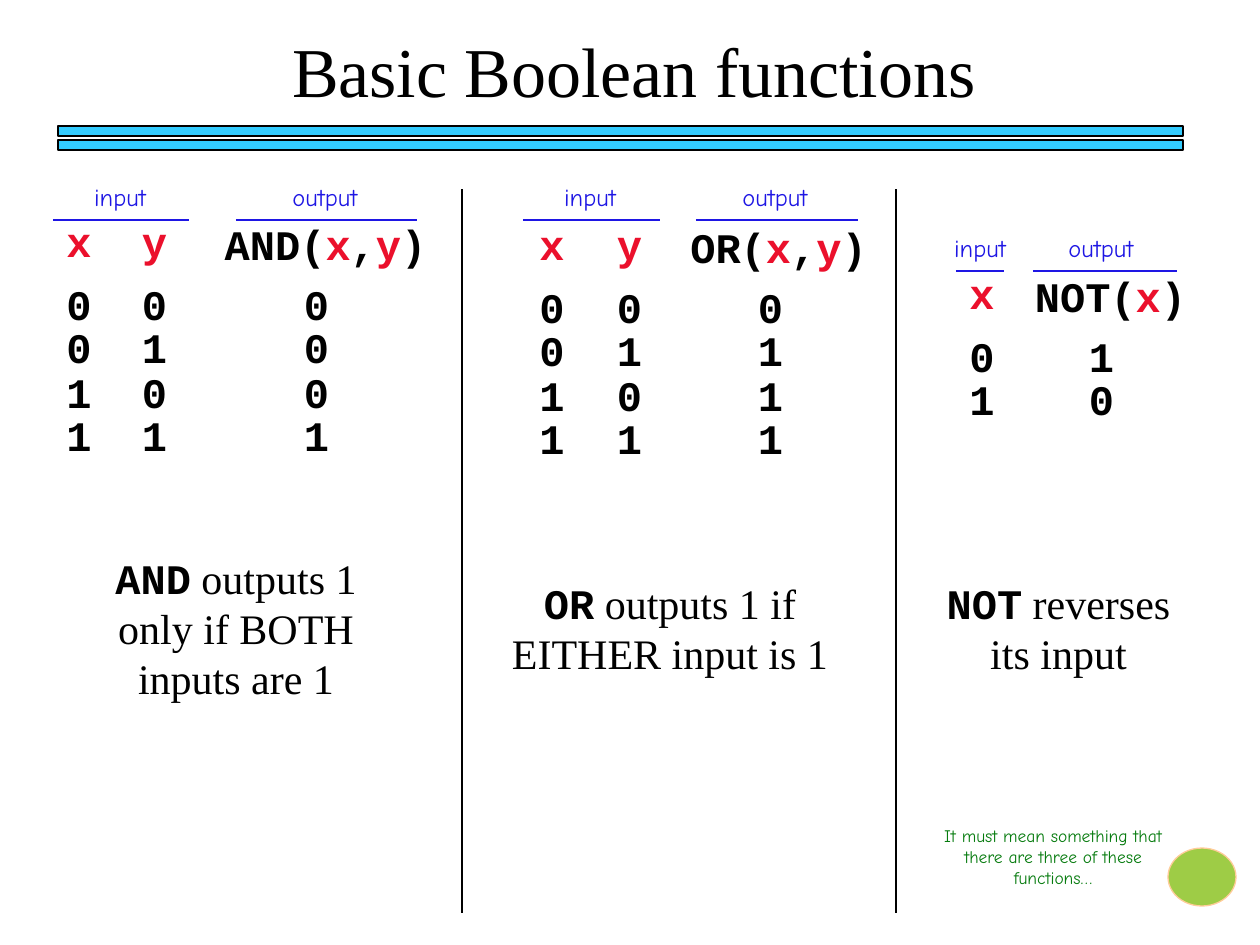
from pptx import Presentation
from pptx.dml.color import RGBColor
from pptx.enum.shapes import MSO_CONNECTOR, MSO_SHAPE
from pptx.enum.text import PP_ALIGN
from pptx.oxml.ns import qn
from pptx.util import Inches, Pt
from lxml import etree

CENTER = PP_ALIGN.CENTER
LINE = MSO_CONNECTOR.STRAIGHT
RECT, OVAL = MSO_SHAPE.RECTANGLE, MSO_SHAPE.OVAL

COLORS = {"black": "000000", "red": "EB102C", "blue": "1E16E4", "cyan": "33CCFF",
          "green": "067B0E", "lime": "9ECC46", "peach": "FFCC99"}
CODE, SERIF, COMIC = "Courier New", "Times New Roman", "Comic Neue"
DPI = 126
ROWS = (63, 106, 151, 194)  # offsets of the value rows below the heads


def px(n):
    return Inches(n / DPI)


def rgb(name):
    return RGBColor.from_string(COLORS[name])


class Page:
    def __init__(self, deck):
        self.slide = deck.slides.add_slide(deck.slide_layouts[6])
        self.shapes = self.slide.shapes

    def text(self, words, x, y, w, h, size=24, font=SERIF, color="black",
             bold=False, wrap=True):
        """Add centred text; words is a string or (string, format) pairs."""
        box = self.shapes.add_textbox(px(x), px(y), px(w), px(h))
        frame = box.text_frame
        frame.word_wrap = wrap
        para = frame.paragraphs[0]
        para.alignment = CENTER
        runs = [(words, {})] if isinstance(words, str) else words
        for part, style in runs:
            run = para.add_run()
            run.text = part
            run.font.size = Pt(size)
            run.font.name = style.get("font", font)
            run.font.bold = style.get("bold", bold)
            run.font.color.rgb = rgb(style.get("color", color))

    def code(self, words, x, y, w, color="black"):
        self.text(words, x, y, w, 63, font=CODE, bold=True, color=color)

    def line(self, x1, y1, x2, y2, color="black"):
        rule = self.shapes.add_connector(LINE, px(x1), px(y1), px(x2), px(y2))
        rule.line.color.rgb = rgb(color)
        rule.line.width = Pt(1.5)
        etree.SubElement(rule._element.spPr, qn("a:effectLst"))

    def shape(self, kind, x, y, w, h, fill, edge="black"):
        item = self.shapes.add_shape(kind, px(x), px(y), px(w), px(h))
        item.shadow.inherit = False
        item.fill.solid()
        item.fill.fore_color.rgb = rgb(fill)
        item.line.color.rgb = rgb(edge)
        item.line.width = Pt(0.75)

    def group(self, label, x, y, w, rule):
        """Add a small label over a rule that spans the two x values."""
        self.text(label, x, y, w, 42, size=14, font=COMIC, color="blue", wrap=False)
        self.line(rule[0], y + 44, rule[1], y + 44, "blue")

    def truth(self, name, top, ins, head, out, rows):
        """Add a truth table; ins holds (letter, left, width) per input."""
        for i, (letter, x, w) in enumerate(ins):
            self.code(letter, x, top, w, "red")
            for row, dy in zip(rows, ROWS):
                self.code(row[i], x, top + dy, w)
        call = [(name + "(", {})]
        for i, (letter, *_) in enumerate(ins):
            if i:
                call.append((",", {}))
            call.append((letter, {"color": "red"}))
        call.append((")", {}))
        self.code(call, head, top + 3, 231)
        for row, dy in zip(rows, ROWS):
            self.code(row[-1], out, top + dy, 79)

    def note(self, name, rest, x, y, w, h):
        self.text([(name, {"font": CODE, "bold": True}), (rest, {})], x, y, w, h)


def main():
    deck = Presentation()
    deck.slide_width, deck.slide_height = px(1260), px(945)
    page = Page(deck)

    for y in (126, 140):
        page.shape(RECT, 58, y, 1125, 10, "cyan")
    page.text("Basic Boolean functions", 135, 21, 998, 97, size=40)

    page.truth("AND", 209, [("x", 42, 74), ("y", 115, 79)], 210, 277,
               ("000", "010", "100", "111"))
    page.truth("OR", 212, [("x", 515, 74), ("y", 590, 79)], 663, 731,
               ("000", "011", "101", "111"))
    page.truth("NOT", 261, [("x", 945, 74)], 995, 1062, ("01", "10"))

    for x, y, rule in ((79, 176, (53, 189)), (549, 176, (523, 660)),
                       (939, 227, (956, 1004))):
        page.group("input", x, y, 82, rule)
    for x, y, rule in ((275, 176, (236, 417)), (725, 176, (696, 858)),
                       (1051, 227, (1033, 1177))):
        page.group("output", x, y, 100, rule)

    page.note("AND", " outputs 1 only if BOTH inputs are 1", 63, 546, 346, 164)
    page.note("OR", " outputs 1 if EITHER input is 1", 472, 571, 396, 113)
    page.note("NOT", " reverses its input", 910, 571, 297, 113)

    for x in (462, 896):
        page.line(x, 189, x, 913)

    page.shape(OVAL, 1168, 848, 68, 58, "lime", "peach")
    page.text("It must mean something that there are three of these functions…",
              922, 819, 262, 76, size=10, font=COMIC, color="green")
    deck.save("out.pptx")


if __name__ == "__main__":
    main()
